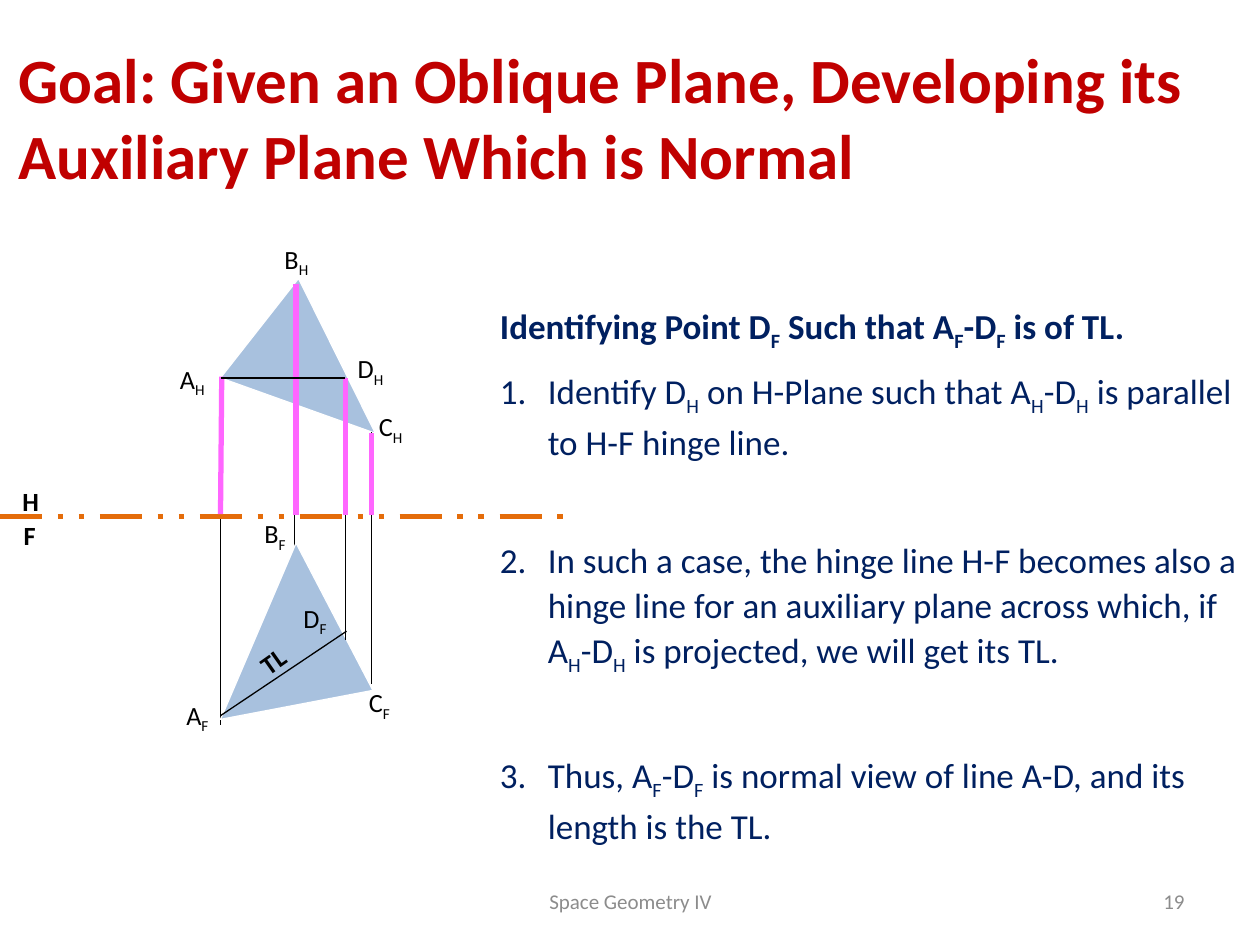
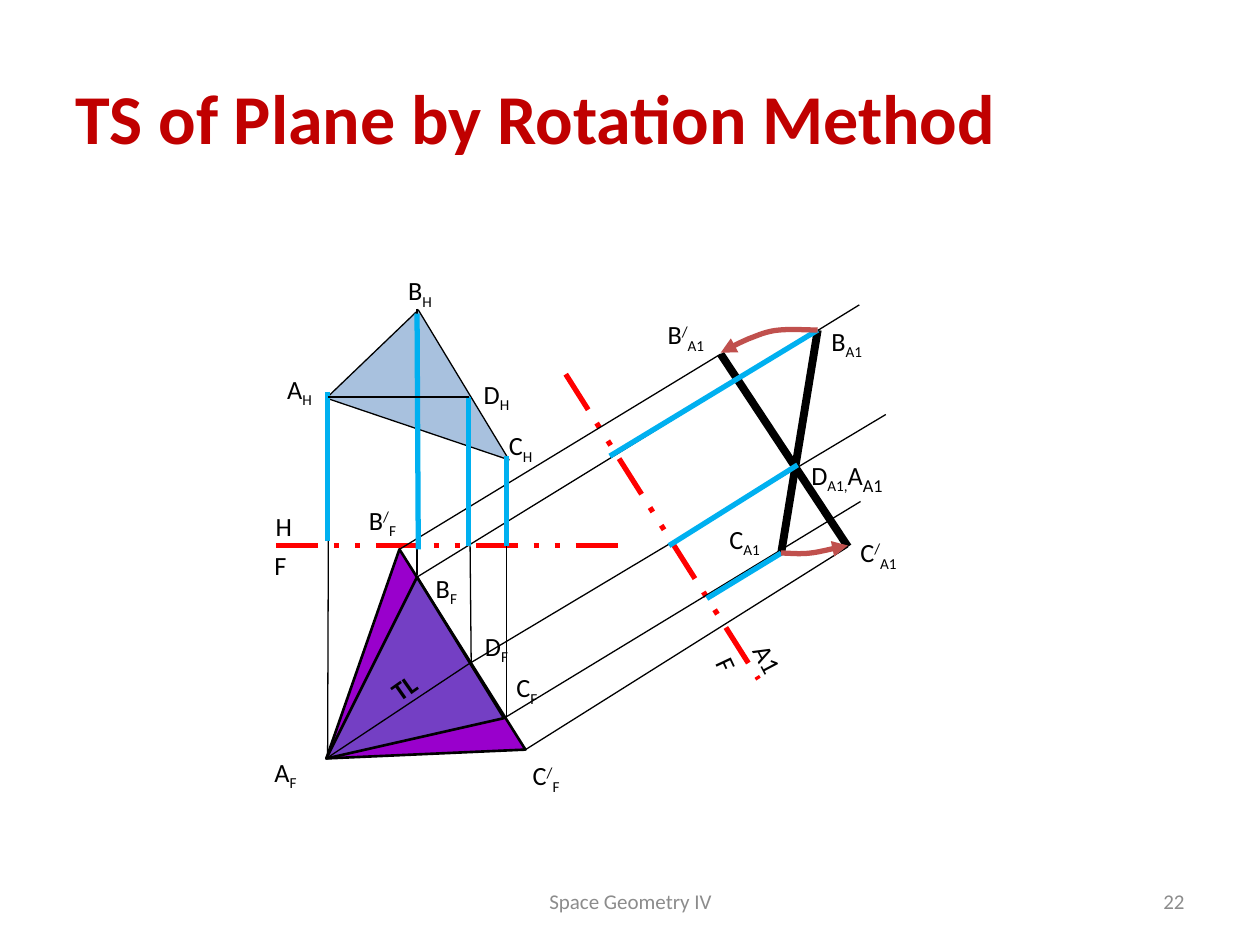
import dataclasses

import lxml.etree
import pptx
import pptx.dml.color
import pptx.enum.dml
import pptx.enum.shapes
import pptx.enum.text
import pptx.oxml.ns
import pptx.util

ALIGN = pptx.enum.text.PP_ALIGN
ANCHOR = pptx.enum.text.MSO_ANCHOR
DASH = pptx.enum.dml.MSO_LINE.DASH_DOT_DOT
COLS, ROWS = 100, 75  # slide grid


@dataclasses.dataclass(frozen=True)
class Theme:
    font: str = "Calibri"
    black: str = "000000"
    white: str = "FFFFFF"
    title: str = "C00000"
    body: str = "002060"
    grey: str = "8C8C8C"
    plane: str = "4F81BD"
    purple: str = "9900CC"
    orange: str = "E46C0A"
    pink: str = "FF66FF"
    red: str = "FF0000"
    cyan: str = "00B0F0"
    arc: str = "C0504D"
    head: int = 40
    long: int = 36
    text: int = 20
    mark: int = 15
    foot: int = 12
    thin: float = 0.75
    edge: float = 1.5
    thick: float = 3
    bold: float = 4.5


T = Theme()


@dataclasses.dataclass(frozen=True)
class Box:
    left: float
    top: float
    width: float
    height: float


def color(code):
    return pptx.dml.color.RGBColor.from_string(code)


def child(parent, tag, **attrs):
    return lxml.etree.SubElement(parent, pptx.oxml.ns.qn(tag), **attrs)


def add_runs(para, text, size, ink, bold=False, last=None):
    """Split marked text into runs: _low_ and ^high^."""
    parts = []
    for i, piece in enumerate(text.split("_")):
        if i % 2:
            parts.append((piece, -25))
        else:
            parts += [(bit, 30 * (j % 2)) for j, bit in enumerate(piece.split("^"))]
    parts = [part for part in parts if part[0]]
    for i, (piece, base) in enumerate(parts):
        run = para.add_run()
        run.text = piece
        font = run.font
        font.name, font.bold = T.font, bold
        font.size = pptx.util.Pt(last if last and i == len(parts) - 1 else size)
        font.color.rgb = color(ink)
        if base:
            font._element.set("baseline", str(base * 1000))


class Pen:
    """Draws on a slide in grid units, counted from the corner of a box."""

    def __init__(self, slide, box, unit):
        self.shapes, self.box, self.unit = slide.shapes, box, unit

    def at(self, point):
        return (round((self.box.left + point[0]) * self.unit),
                round((self.box.top + point[1]) * self.unit))

    def frame(self, x, y, wide, high, wrap=True, grow=False, turn=0):
        size = round(wide * self.unit), round(high * self.unit)
        shape = self.shapes.add_textbox(*self.at((x, y)), *size)
        shape.rotation = turn
        frame = shape.text_frame
        frame.word_wrap = wrap
        if grow:
            frame.auto_size = pptx.enum.text.MSO_AUTO_SIZE.SHAPE_TO_FIT_TEXT
        return frame

    def label(self, text, x, y, wide, turn=0, bold=False, last=None):
        frame = self.frame(x, y, wide, 3.5, wrap=False, grow=True, turn=turn)
        add_runs(frame.paragraphs[0], text, T.mark, T.black, bold, last)

    def line(self, start, end, ink=T.black, weight=T.thin, dash=None):
        kind = pptx.enum.shapes.MSO_CONNECTOR.STRAIGHT
        line = self.shapes.add_connector(kind, *self.at(start), *self.at(end))
        line.line.color.rgb = color(ink)
        line.line.width = pptx.util.Pt(weight)
        if dash:
            line.line.dash_style = dash
        child(line.element.spPr, "a:effectLst")

    def outline(self, points, ink, weight, close):
        first, *rest = map(self.at, points)
        maker = self.shapes.build_freeform(*first)
        maker.add_line_segments(rest, close=close)
        shape = maker.convert_to_shape()
        shape.shadow.inherit = False
        shape.line.color.rgb = color(ink)
        shape.line.width = pptx.util.Pt(weight)
        return shape

    def plane(self, points, ink, weight, fill=T.plane, clear=True):
        shape = self.outline(points, ink, weight, True)
        shape.fill.solid()
        shape.fill.fore_color.rgb = color(fill)
        if clear:
            solid = shape.element.spPr.find(pptx.oxml.ns.qn("a:solidFill"))
            child(solid[0], "a:alpha", val="49000")

    def swing(self, start, *curves):
        """Draw joined cubic curves that end in an arrowhead."""
        points = [start]
        for b, c, d in curves:
            a = points[-1]
            for t in (k / 8 for k in range(1, 9)):
                s = 1 - t
                points.append(tuple(
                    s**3 * p + 3 * s * s * t * q + 3 * s * t * t * r + t**3 * e
                    for p, q, r, e in zip(a, b, c, d)))
        shape = self.outline(points, T.arc, T.thick, False)
        shape.fill.background()
        edge = shape.element.spPr.find(pptx.oxml.ns.qn("a:ln"))
        child(edge, "a:tailEnd", type="triangle")


def add_title(slide, box, unit, text, size):
    frame = Pen(slide, box, unit).frame(0, 0, box.width, box.height)
    frame.vertical_anchor = ANCHOR.MIDDLE
    add_runs(frame.paragraphs[0], text, size, T.title, True)


def add_foot(slide, box, unit, number):
    pen = Pen(slide, box, unit)
    for text, x, wide, align in (("Space Geometry IV", 0, 31.7, ALIGN.CENTER),
                                 (number, 37.5, 23.3, ALIGN.RIGHT)):
        frame = pen.frame(x, 0, wide, box.height)
        frame.vertical_anchor = ANCHOR.MIDDLE
        frame.paragraphs[0].alignment = align
        add_runs(frame.paragraphs[0], text, T.foot, T.grey)


def add_steps(slide, box, unit, head, steps):
    frame = Pen(slide, box, unit).frame(0, 0, box.width, box.height, grow=True)
    for i, text in enumerate([head, *steps]):
        para = frame.add_paragraph() if i else frame.paragraphs[0]
        para.line_spacing = 1.07
        para.space_after = pptx.util.Pt(42 if 0 < i < len(steps) else 8)
        if i:
            props = para._p.get_or_add_pPr()
            indent = pptx.util.Inches(0.38)
            props.set("marL", str(indent))
            props.set("indent", str(-indent))
            child(props, "a:buFont", typeface="+mj-lt")
            child(props, "a:buAutoNum", type="arabicPeriod")
        add_runs(para, text, T.text, T.body, bold=not i)


def draw_views(slide, box, unit):
    """Top and front views of the oblique plane."""
    pen = Pen(slide, box, unit)
    hinge = 23
    a_h, b_h, c_h, d_h = (17.5, 12), (23.7, 4.1), (29.8, 16.4), (27.4, 12)
    a_f, b_f, c_f, d_f = (17.5, 39.1), (23.5, 25.1), (29.6, 36.8), (27.5, 32.1)
    # Projectors behind the planes
    pen.line((23.4, 4.5), (23.4, 25.3))
    pen.line(a_h, (17.5, 39.5))
    # Planes and hinge line
    pen.plane((a_h, b_h, c_h), T.white, T.thin)
    pen.plane((b_f, c_f, a_f), T.white, T.thin)
    pen.line((0, hinge), (45.4, hinge), T.orange, T.thick, DASH)
    # Projectors in front
    pen.line((29.5, 16.3), (29.5, 36.3))
    pen.line(d_h, (27.4, 32.8))
    pen.line((17.6, 11.9), (17.5, hinge - 0.2), T.pink, T.thick)
    for x, y in ((23.5, 4.5), d_h, (29.5, 16.4)):
        pen.line((x, y), (x, hinge - 0.1), T.pink, T.thick)
    # Line A-D in both views
    pen.line(d_h, a_h)
    pen.line((17.5, 38.8), d_f)
    # Labels
    for mark in (("B_F_", 20, 22.6, 3.8), ("B_H_", 21.6, 0.8, 4),
                 ("A_H_", 13.3, 10.3, 4.1), ("C_H_", 29.1, 14.1, 4),
                 ("D_H_", 27.4, 9.5, 4.2), ("A_F_", 13.8, 37, 3.9),
                 ("C_F_", 28.3, 36, 3.8), ("D_F_", 23.1, 29.3, 4),
                 ("H", 0.8, 20, 3.4, 0, True), ("F", 0.9, 22.7, 3, 0, True),
                 ("TL", 19.7, 32.7, 3.9, 324.8, True)):
        pen.label(*mark)


def draw_turn(slide, box, unit):
    """Plane turned about A-D, seen in three views."""
    pen = Pen(slide, box, unit)
    hinge = 23.3
    a_h, b_h, c_h, d_h = (5.9, 11.6), (13.2, 4.6), (20.4, 16.5), (17.2, 11.5)
    a_f, b_f, c_f, d_f = (5.9, 40.2), (13.1, 25.8), (20, 37), (17.2, 32.7)
    b_new, c_new = (11.7, 23.6), (21.7, 39.5)
    b_a, c_a, b_end, c_end = (44.9, 6.2), (42, 23.9), (37.2, 8.1), (47.3, 23.4)
    # Turned and first plane in the front view
    pen.plane((a_f, c_new, b_new), T.black, T.edge, T.purple, clear=False)
    pen.plane((a_f, b_f, c_f), T.black, T.edge)
    # Hinge lines
    pen.line((24.9, 9.7), (40.2, 33.9), T.red, T.thick, DASH)
    pen.line((1.9, hinge), (30, hinge), T.red, T.thick, DASH)
    # Edge views and top view
    pen.line(b_a, c_a, weight=T.bold)
    pen.line(b_end, c_end, weight=T.bold)
    pen.plane((a_h, b_h, c_h), T.black, T.thin)
    # Projectors to the auxiliary view
    for start, end in ((b_new, b_end), (b_f, (48.2, 4.2)), (d_f, (50.3, 12.9)),
                       (c_f, (48.3, 19.8)), (c_new, c_end), (a_f, d_f)):
        pen.line(start, end)
    for start, end in (((28.4, 16.2), b_a), ((33.1, hinge), (43.3, 16.9)),
                       ((36.1, 27.5), c_a)):
        pen.line(start, end, T.cyan, T.thick)
    # Projectors between top and front view
    for start, end, top, low in (
            ((6.1, 11.5), (6, 40.2), (6, 11.1), (6, 22.9)),
            ((13.1, 4.5), (13.1, 25.6), (13.1, 4.9), (13.2, 23.6)),
            (d_h, (17.4, 32.7), (17.2, 11.5), (17.2, hinge)),
            ((20.2, 17), (20.2, 37), (20.2, 16.2), (20.2, hinge))):
        pen.line(start, end)
        pen.line(top, low, T.cyan, T.thick)
    pen.line(d_h, (6, 11.5))
    # Turning arrows
    pen.swing(b_a, ((44.4, 6.2), (42.7, 6.1), (41.8, 6.2)),
              ((40.8, 6.3), (40.2, 6.6), (39.4, 6.9)),
              ((38.7, 7.2), (37.7, 7.7), (37.2, 8)))
    pen.swing(c_a, ((42.7, 23.9), (43.4, 24), (44.3, 23.9)),
              ((45.2, 23.8), (46.2, 23.5), (47.3, 23.3)))
    # Labels
    for mark in (("F", 36.2, 31, 3, 64.8), ("A1", 38.8, 30.6, 4.3, 62.1),
                 ("H", 0.9, 20, 3.3), ("F", 0.8, 23.1, 3),
                 ("B_H_", 11.4, 1.3, 4), ("A_H_", 1.8, 9.1, 4.1),
                 ("C_H_", 19.4, 13.6, 4), ("D_H_", 17.4, 9.5, 4.2),
                 ("B_F_", 13.6, 24.9, 3.8), ("A_F_", 0.8, 39.5, 3.9),
                 ("C_F_", 20, 32.8, 3.8), ("D_F_", 17.5, 29.5, 4),
                 ("B^/^_F_", 8.3, 19.5, 4.4), ("C^/^_F_", 21.3, 39.8, 4.3),
                 ("B_A1_", 45, 5.3, 4.7), ("C_A1_", 36.9, 21, 4.7),
                 ("B^/^_A1_", 32, 4.8, 5.2), ("C^/^_A1_", 47.3, 22.1, 5.2),
                 ("D_A1,_A_A1_", 43.4, 15.5, 8.2, 0, False, 18),
                 ("TL", 10.1, 32.8, 3.9, 324.8, True)):
        pen.label(*mark)


def main():
    deck = pptx.Presentation()
    deck.slide_width = pptx.util.Inches(10)
    deck.slide_height = deck.slide_width * ROWS // COLS
    unit = deck.slide_width / COLS
    foot = Box(34.2, 69.5, 60.8, 4)

    # Finding the true length line
    slide = deck.slides.add_slide(deck.slide_layouts[6])
    draw_views(slide, Box(0, 18, 46, 42), unit)
    add_title(slide, Box(0.5, 3, 99, 12.5), unit,
              "Goal: Given an Oblique Plane, Developing its "
              "Auxiliary Plane Which is Normal", T.long)
    add_foot(slide, foot, unit, "19")
    add_steps(slide, Box(38.7, 23.4, 60.7, 42.5), unit,
              "Identifying Point D_F_ Such that A_F_-D_F_ is of TL.",
              ["Identify D_H_ on H-Plane such that A_H_-D_H_ is parallel "
               "to H-F hinge line.",
               "In such a case, the hinge line H-F becomes also a hinge line for "
               "an auxiliary plane across which, if A_H_-D_H_ is projected, "
               "we will get its TL.",
               "Thus, A_F_-D_F_ is normal view of line A-D, and its length "
               "is the TL."])

    # Rotation method
    slide = deck.slides.add_slide(deck.slide_layouts[6])
    draw_turn(slide, Box(20, 20, 54, 44), unit)
    add_title(slide, Box(5, 3, 90, 12.5), unit,
              "TS of Plane by Rotation Method", T.head)
    add_foot(slide, foot, unit, "22")
    deck.save("out.pptx")


if __name__ == "__main__":
    main()
